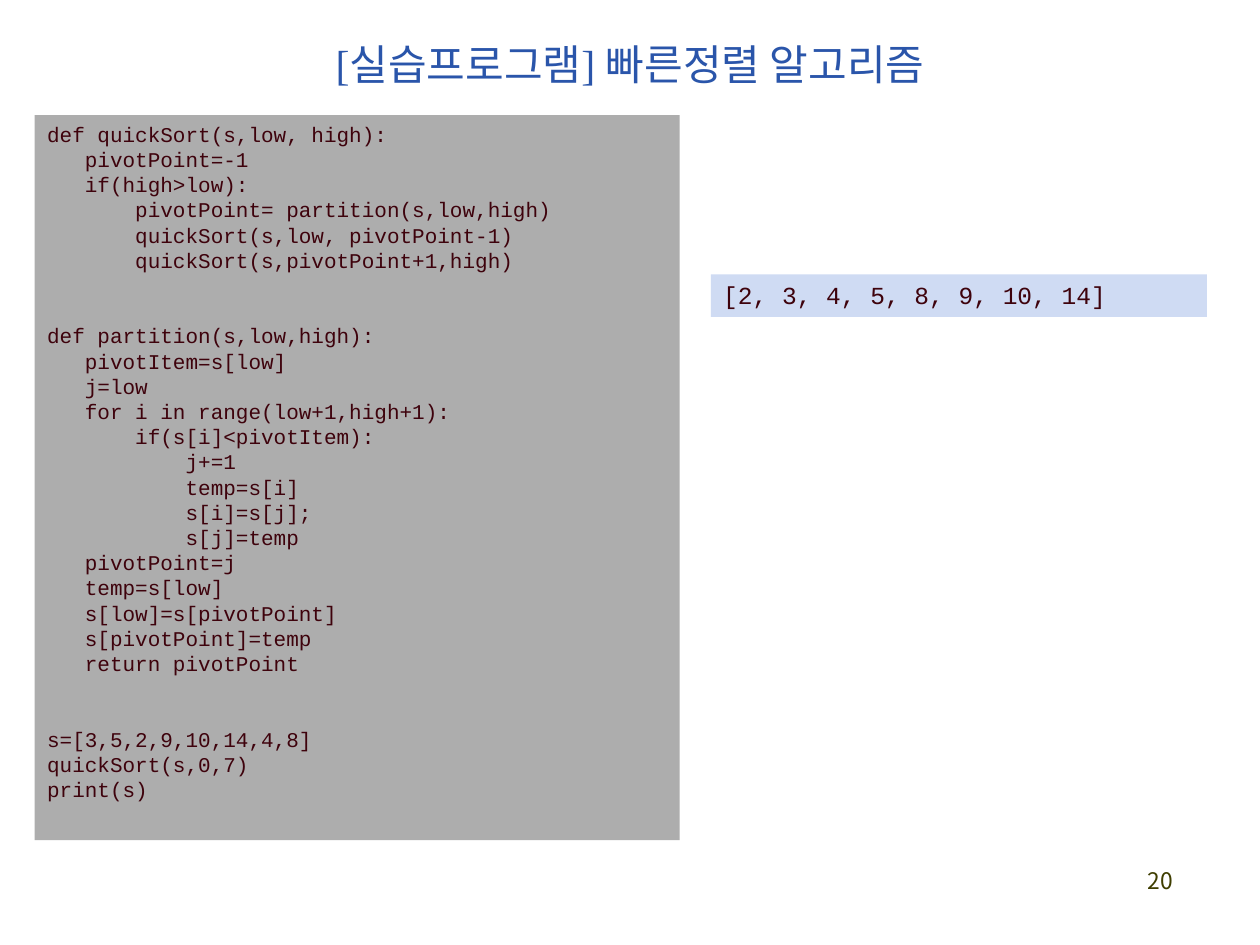
from dataclasses import dataclass

from lxml import etree
from pptx import Presentation
from pptx.dml.color import RGBColor
from pptx.enum.shapes import MSO_SHAPE
from pptx.enum.text import MSO_ANCHOR, MSO_AUTO_SIZE, PP_ALIGN
from pptx.oxml.ns import qn
from pptx.util import Cm, Pt

RECT = MSO_SHAPE.RECTANGLE
TOP, MIDDLE = MSO_ANCHOR.TOP, MSO_ANCHOR.MIDDLE
LEFT, CENTER, RIGHT = PP_ALIGN.LEFT, PP_ALIGN.CENTER, PP_ALIGN.RIGHT
FIXED = MSO_AUTO_SIZE.NONE

CODE = """def quickSort(s,low, high):
   pivotPoint=-1
   if(high>low):
       pivotPoint= partition(s,low,high)
       quickSort(s,low, pivotPoint-1)
       quickSort(s,pivotPoint+1,high)

def partition(s,low,high):
   pivotItem=s[low]
   j=low
   for i in range(low+1,high+1):
       if(s[i]<pivotItem):
           j+=1
           temp=s[i]
           s[i]=s[j];
           s[j]=temp
   pivotPoint=j
   temp=s[low]
   s[low]=s[pivotPoint]
   s[pivotPoint]=temp
   return pivotPoint

s=[3,5,2,9,10,14,4,8]
quickSort(s,0,7)
print(s)"""


@dataclass
class Theme:
    """Colours, fonts and type sizes of the slide."""
    title: str = "2A55AA"
    ink: str = "3E020C"
    page: str = "3F3E00"
    panel: str = "ADADAD"
    result: str = "CFDBF3"
    serif: str = "Times New Roman"
    mono: str = "Courier New"
    hangul: str = "Noto Sans CJK KR"
    title_size: float = 24
    code_size: float = 12
    result_size: float = 14
    page_size: float = 13
    pitch: float = 14.4


class Deck:
    """Holds the theme and the current slide."""

    def __init__(self, theme):
        """Start a deck with one title-only slide."""
        self.theme = theme
        self.file = Presentation()
        self.file.slide_width, self.file.slide_height = Cm(25.4), Cm(19.05)
        self.slide = self.file.slides.add_slide(self.file.slide_layouts[5])

    def frame(self, shape, anchor=TOP):
        """Return the text frame of a shape, wrapped and of fixed size."""
        frame = shape.text_frame
        frame.word_wrap = True
        frame.auto_size = FIXED
        frame.vertical_anchor = anchor
        return frame

    def run(self, para, text, font, size, color, align=LEFT):
        """Add one styled run to a paragraph."""
        para.alignment = align
        run = para.add_run()
        run.text = text
        run.font.name = font
        run.font.size = Pt(size)
        run.font.color.rgb = RGBColor.from_string(color)
        latin = run.font._element.find(qn("a:latin"))
        east = etree.Element(qn("a:ea"), typeface=self.theme.hangul)
        latin.addnext(east)

    def title(self, text, *box):
        """Fill and place the title placeholder."""
        look, shape = self.theme, self.slide.shapes.title
        shape.left, shape.top, shape.width, shape.height = map(Cm, box)
        para = self.frame(shape, MIDDLE).paragraphs[0]
        self.run(para, text, look.serif, look.title_size, look.title, CENTER)

    def panel(self, text, fill, size, *box, pitch=None):
        """Draw a filled box of code, with two lines between blocks."""
        look = self.theme
        shape = self.slide.shapes.add_shape(RECT, *map(Cm, box))
        shape.shadow.inherit = False
        shape.fill.solid()
        shape.fill.fore_color.rgb = RGBColor.from_string(fill)
        shape.line.fill.background()
        frame = self.frame(shape)
        para = frame.paragraphs[0]
        for part, block in enumerate(text.split("\n\n")):
            for row, line in enumerate(block.split("\n")):
                if part or row:
                    para = frame.add_paragraph()
                if part and not row:
                    para.space_before = Pt(2 * pitch)
                if pitch:
                    para.line_spacing = Pt(pitch)
                self.run(para, line, look.mono, size, look.ink)

    def page(self, text, *box):
        """Add the page number."""
        look = self.theme
        shape = self.slide.shapes.add_textbox(*map(Cm, box))
        para = self.frame(shape).paragraphs[0]
        self.run(para, text, look.hangul, look.page_size, look.page, RIGHT)


def main():
    """Build and save the slide."""
    look = Theme()
    deck = Deck(look)
    deck.title("[실습프로그램] 빠른정렬 알고리즘", 5.1, 0.53, 15.2, 1.5)
    deck.panel(CODE, look.panel, look.code_size, 0.7, 2.32, 13, 14.62,
               pitch=look.pitch)
    deck.panel("[2, 3, 4, 5, 8, 9, 10, 14]", look.result, look.result_size,
               14.33, 5.53, 10, 0.86)
    deck.page("20", 18.62, 17.35, 5.28, 1.27)
    deck.file.save("out.pptx")


if __name__ == "__main__":
    main()
